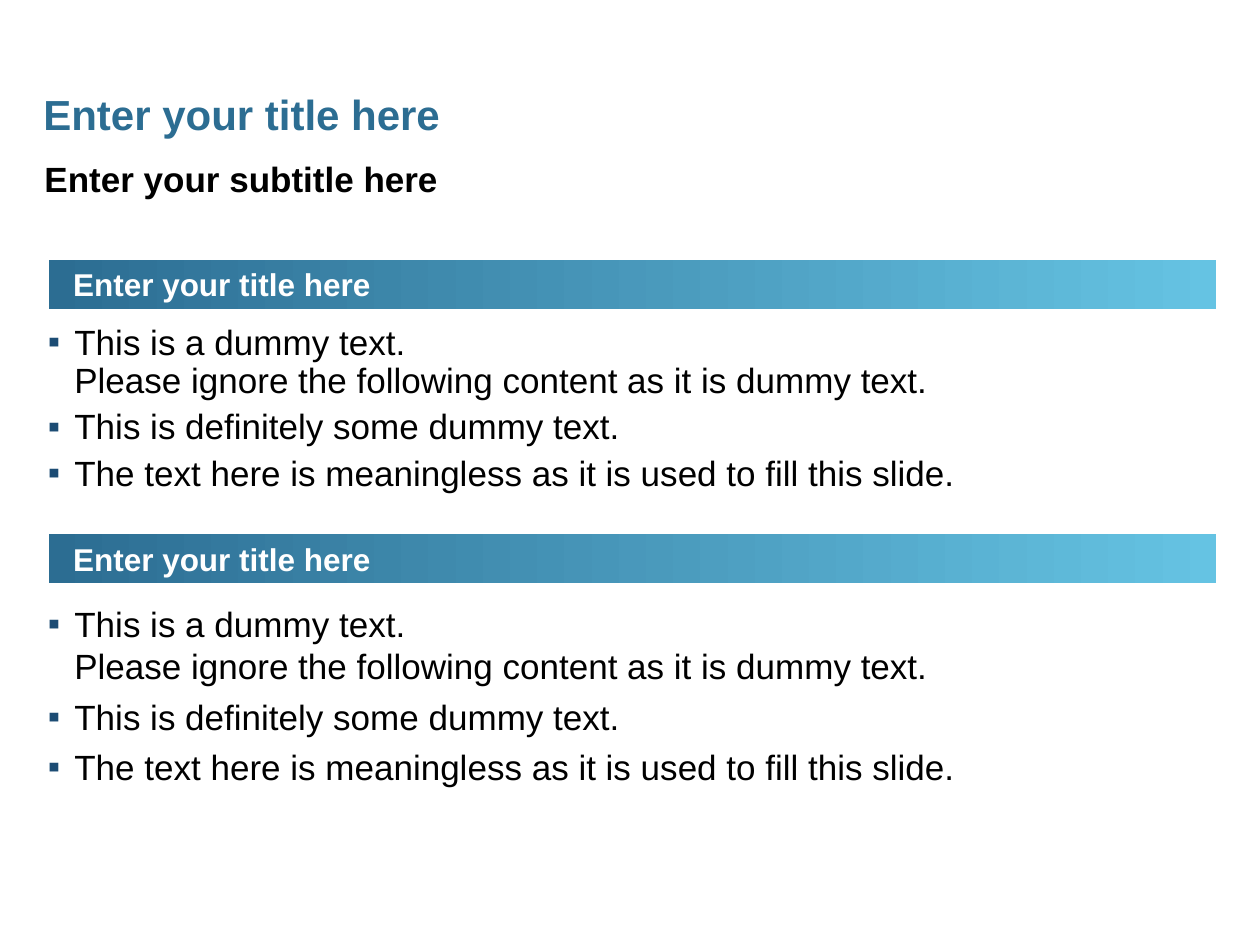
from lxml import etree
from pptx import Presentation
from pptx.dml.color import RGBColor
from pptx.enum import shapes, text
from pptx.oxml import ns
from pptx.util import Pt

TITLE = "Enter your title here"
SUBTITLE = "Enter your subtitle here"
BULLETS = [
    "This is a dummy text.\vPlease ignore the following content as it is dummy text.",
    "This is definitely some dummy text.",
    "The text here is meaningless as it is used to fill this slide.",
]
# heading, heading top, list top, line spacing, bullets
SECTIONS = [
    ("Enter your title here", 147.6, 182.2, 0.9, BULLETS),
    ("Enter your title here", 304.6, 340.6, 1.0, BULLETS),
]

THEME = {
    "font": "Arial",
    "title": "2C6D92", "text": "000000", "light": "FFFFFF",
    "bar_start": "2C6D92", "bar_end": "65C3E3", "bullet": "1C4C74",
    "title_size": 24, "body_size": 20, "heading_size": 18,
}
LEFT, WIDTH = 27.4, 668
BAR_HEIGHT, LIST_HEIGHT = 29.5, 105
INDENT = 15.1


def color(name):
    return RGBColor.from_string(THEME[name])


def fill_frame(frame, lines, size, ink, bold=False, margins=(0, 0, 0, 0),
               anchor=text.MSO_ANCHOR.MIDDLE):
    """Write lines as paragraphs; margins are left, top, right, bottom."""
    frame.word_wrap = True
    frame.vertical_anchor = anchor
    (frame.margin_left, frame.margin_top,
     frame.margin_right, frame.margin_bottom) = map(Pt, margins)
    frame.text = "\n".join(lines)
    for paragraph in frame.paragraphs:
        paragraph.alignment = text.PP_ALIGN.LEFT
        for run in paragraph.runs:
            run.font.name = THEME["font"]
            run.font.size = Pt(THEME[size])
            run.font.bold = bold
            run.font.color.rgb = color(ink)


def add_text(slide, box, *args, **style):
    frame = slide.shapes.add_textbox(*map(Pt, box)).text_frame
    fill_frame(frame, *args, **style)
    return frame


def add_bullet(paragraph):
    properties = paragraph._p.get_or_add_pPr()
    properties.set("marL", str(Pt(INDENT)))
    properties.set("indent", str(-Pt(INDENT)))
    tint = etree.SubElement(properties, ns.qn("a:buClr"))
    etree.SubElement(tint, ns.qn("a:srgbClr"), val=THEME["bullet"])
    etree.SubElement(properties, ns.qn("a:buFont"), typeface=THEME["font"])
    etree.SubElement(properties, ns.qn("a:buChar"), char="▪")


def add_heading_bar(slide, heading, top):
    bar = slide.shapes.add_shape(
        shapes.MSO_SHAPE.RECTANGLE, Pt(LEFT), Pt(top), Pt(WIDTH), Pt(BAR_HEIGHT))
    bar.shadow.inherit = False
    bar.fill.gradient()
    bar.fill.gradient_angle = 0
    for stop, name in zip(bar.fill.gradient_stops, ("bar_start", "bar_end")):
        stop.color.rgb = color(name)
    bar.line.color.rgb = color("light")
    bar.line.width = Pt(1.5)
    fill_frame(bar.text_frame, [heading], "heading_size", "light", bold=True,
               margins=(14.4, 0, 0, 0))


def add_list(slide, bullets, top, spacing):
    frame = add_text(slide, (LEFT, top, WIDTH, LIST_HEIGHT), bullets,
                     "body_size", "text", margins=(0, 3.6, 0, 3.6),
                     anchor=text.MSO_ANCHOR.TOP)
    for index, paragraph in enumerate(frame.paragraphs):
        paragraph.line_spacing = spacing
        paragraph.space_before = Pt(5 if index else 0)
        add_bullet(paragraph)


def main():
    deck = Presentation()
    deck.slide_width, deck.slide_height = Pt(720), Pt(540)
    slide = deck.slides.add_slide(deck.slide_layouts[6])

    title = add_text(slide, (24.8, 49, 670, 47.5), [TITLE], "title_size", "title",
                     bold=True, margins=(0, 3.6, 0, 3.6),
                     anchor=text.MSO_ANCHOR.TOP)
    title.paragraphs[0].line_spacing = 0.95
    add_text(slide, (25.4, 88, 453, 28), [SUBTITLE], "body_size", "text", bold=True)

    for heading, bar_top, list_top, spacing, bullets in SECTIONS:
        add_heading_bar(slide, heading, bar_top)
        add_list(slide, bullets, list_top, spacing)

    deck.save("out.pptx")


if __name__ == "__main__":
    main()
